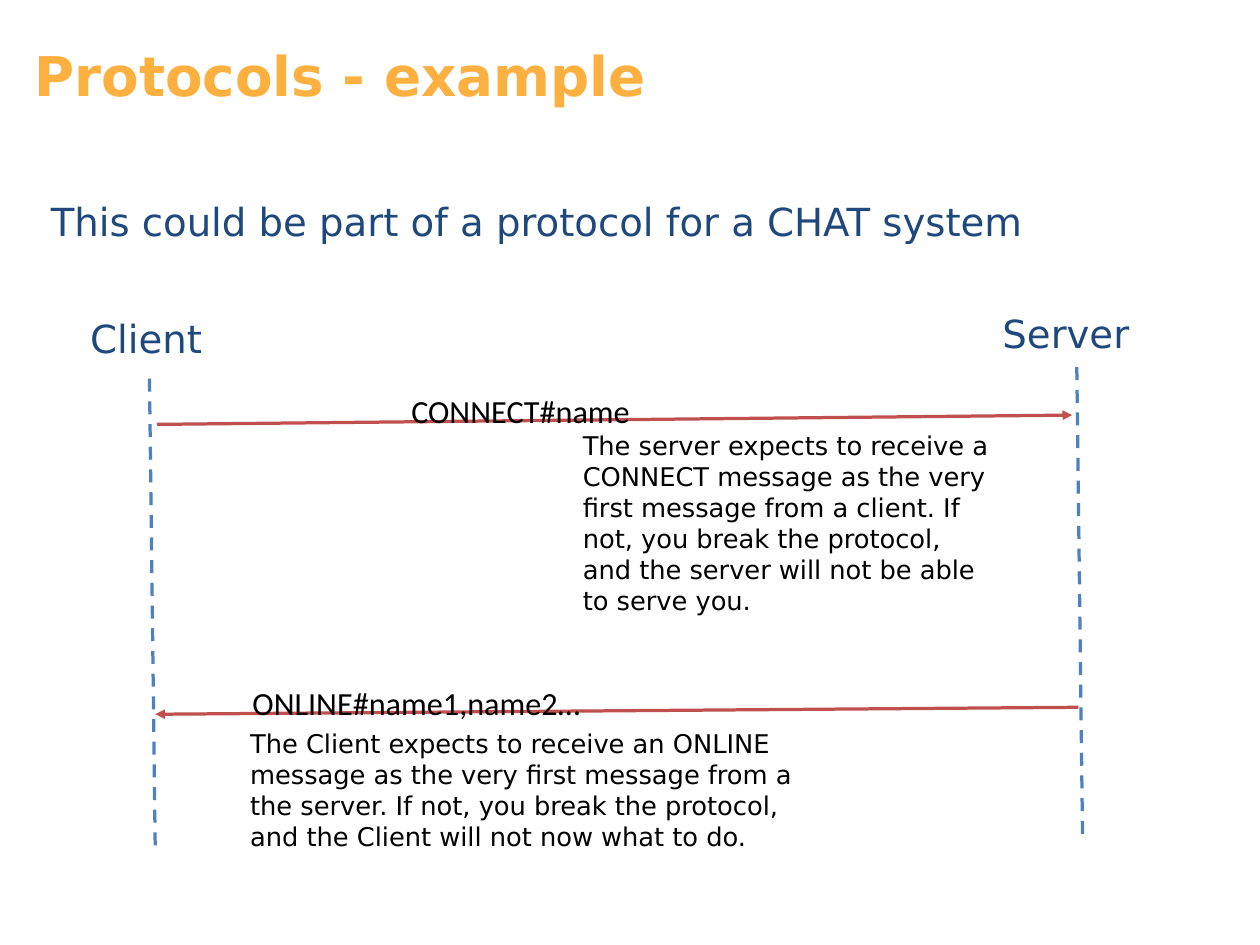
import pptx
import pptx.dml.color
import pptx.enum.dml
import pptx.enum.shapes
import pptx.enum.text
import pptx.oxml
import pptx.oxml.ns
import pptx.util

Inches = pptx.util.Inches

THEME = {
    "title": {"font": "DejaVu Sans", "size": 34, "color": "FBB040", "bold": True, "grow": False},
    "heading": {"font": "DejaVu Sans", "size": 24, "color": "1F497D"},
    "message": {"font": "Calibri", "size": 20, "color": "000000", "spacing": 1.5, "wrap": False},
    "note": {"font": "DejaVu Sans", "size": 16, "color": "000000"},
    "lifeline": "4F81BD",
    "arrow": "C0504D",
    "line_width": 2,
}

HEADINGS = [
    ("title", "Protocols - example", (0.2, 0.31, 8.89, 0.82)),
    ("heading", "This could be part of a protocol for a CHAT system", (0.34, 1.66, 9.14, 0.5)),
]

PARTICIPANTS = [
    {"name": "Client", "label": (0.68, 2.67, 1.59, 0.5), "lifeline": (1.29, 3.28, 1.34, 7.37)},
    {"name": "Server", "label": (8.55, 2.62, 1.59, 0.5), "lifeline": (9.29, 3.18, 9.34, 7.26)},
]

MESSAGES = [
    {
        "arrow": (1.37, 3.66, 9.25, 3.58),
        "text": "CONNECT#name",
        "text_box": (3.45, 3.16, 2.1, 0.6),
        "note": "The server expects to receive a CONNECT message as the very first message "
                "from a client. If not, you break the protocol, and the server will not be "
                "able to serve you.",
        "note_box": (4.93, 3.66, 3.77, 1.7),
    },
    {
        "arrow": (9.29, 6.1, 1.34, 6.16),
        "text": "ONLINE#name1,name2…",
        "text_box": (2.08, 5.68, 3.03, 0.6),
        "note": "The Client expects to receive an ONLINE message as the very first message "
                "from a the server. If not, you break the protocol, and the Client will not "
                "now what to do.",
        "note_box": (2.06, 6.23, 5.11, 1.17),
    },
]


def add_text(slide, style_name, text, box):
    style = THEME[style_name]
    shape = slide.shapes.add_textbox(*map(Inches, box))
    frame = shape.text_frame
    frame.word_wrap = style.get("wrap", True)
    if style.get("grow", True):
        frame.auto_size = pptx.enum.text.MSO_AUTO_SIZE.SHAPE_TO_FIT_TEXT
    frame.vertical_anchor = pptx.enum.text.MSO_ANCHOR.TOP
    paragraph = frame.paragraphs[0]
    paragraph.line_spacing = style.get("spacing", 1.0)
    run = paragraph.add_run()
    run.text = text
    run.font.name = style["font"]
    run.font.size = pptx.util.Pt(style["size"])
    run.font.bold = style.get("bold", False)
    run.font.color.rgb = pptx.dml.color.RGBColor.from_string(style["color"])


def add_line(slide, ends, color):
    connector = slide.shapes.add_connector(
        pptx.enum.shapes.MSO_CONNECTOR.STRAIGHT, *map(Inches, ends)
    )
    connector.line.color.rgb = pptx.dml.color.RGBColor.from_string(color)
    connector.line.width = pptx.util.Pt(THEME["line_width"])
    properties = connector._element.spPr
    properties.find(pptx.oxml.ns.qn("a:ln")).set("cap", "sq")
    properties.append(pptx.oxml.parse_xml(
        f"<a:effectLst {pptx.oxml.ns.nsdecls('a')}/>"
    ))
    return connector


def add_lifeline(slide, ends):
    connector = add_line(slide, ends, THEME["lifeline"])
    connector.line.dash_style = pptx.enum.dml.MSO_LINE.DASH


def add_arrow(slide, ends):
    connector = add_line(slide, ends, THEME["arrow"])
    outline = connector._element.spPr.find(pptx.oxml.ns.qn("a:ln"))
    outline.append(pptx.oxml.parse_xml(
        f"<a:tailEnd {pptx.oxml.ns.nsdecls('a')} type='triangle'/>"
    ))


def main():
    presentation = pptx.Presentation()
    presentation.slide_width = Inches(10.87)
    presentation.slide_height = Inches(8.15)
    slide = presentation.slides.add_slide(presentation.slide_layouts[6])

    for style_name, text, box in HEADINGS:
        add_text(slide, style_name, text, box)
    for participant in PARTICIPANTS:
        add_text(slide, "heading", participant["name"], participant["label"])
        add_lifeline(slide, participant["lifeline"])
    for message in MESSAGES:
        add_arrow(slide, message["arrow"])
        add_text(slide, "message", message["text"], message["text_box"])
        add_text(slide, "note", message["note"], message["note_box"])

    presentation.save("out.pptx")


if __name__ == "__main__":
    main()
